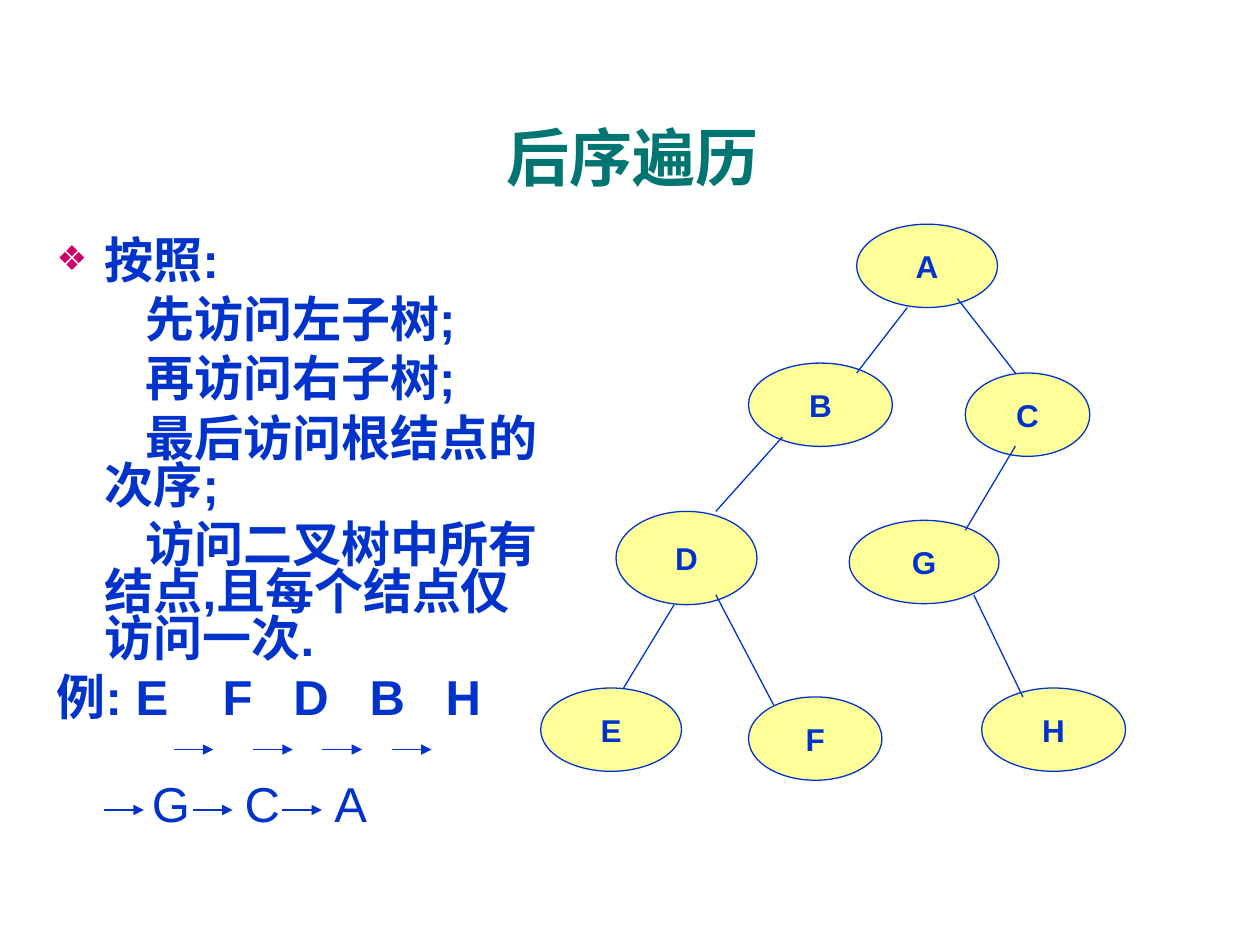
from lxml import etree
from pptx import Presentation
from pptx import util as u
from pptx.dml.color import RGBColor
from pptx.enum import shapes, text
from pptx.oxml.ns import qn

COLORS = {"title": "007572", "ink": "0033CC", "node": "FFFF99", "bullet": "CC0066"}
FONT = "Arial"
NODE_HEIGHT = 1.68
ARROW_LENGTH = 0.8

# name: left, top, width, height
NODES = {
    "A": (17.27, 4.52, 2.84, NODE_HEIGHT),
    "B": (15.09, 7.32, 2.9, NODE_HEIGHT),
    "C": (19.46, 7.52, 2.51, NODE_HEIGHT),
    "D": (12.42, 10.31, 2.84, 1.88),
    "G": (17.12, 10.49, 3.02, NODE_HEIGHT),
    "E": (10.9, 13.87, 2.84, NODE_HEIGHT),
    "F": (15.09, 14.05, 2.69, NODE_HEIGHT),
    "H": (19.79, 13.87, 2.9, NODE_HEIGHT),
}
BRANCHES = [
    (18.29, 6.2, 17.27, 7.52),     # A-B
    (19.3, 6.02, 20.47, 7.52),     # A-C
    (15.77, 8.81, 14.43, 10.31),   # B-D
    (20.47, 8.99, 19.46, 10.69),   # C-G
    (13.59, 12.19, 12.57, 13.87),  # D-E
    (14.43, 11.99, 15.6, 14.22),   # D-F
    (19.63, 11.99, 20.62, 14.05),  # G-H
]
# top: left ends of the arrows between visited nodes
ORDER_ARROWS = {15.11: (3.5, 5.1, 6.5, 7.9), 16.33: (2.1, 3.89, 5.69)}

# Extra points added to the space between visited nodes, to leave room for arrows
WIDE, NARROW = 23.35, 15.57
HANGING = {"margin": 0.97, "indent": -0.97, "bullet": "❖"}
STEP = {"margin": 0.97, "indent": 0.82}
LINES = [
    ("按照:", HANGING),
    ("先访问左子树;", STEP),
    ("再访问右子树;", STEP),
    ("最后访问根结点的次序;", STEP),
    ("访问二叉树中所有结点,且每个结点仅访问一次.", STEP),
    ("例: E F D B H", {"gaps": (WIDE, NARROW, NARROW, NARROW)}),
    ("G C A", {"gaps": (WIDE, WIDE), "margin": 1.92, "bold": False, "before": 34}),
]


def rgb(name):
    return RGBColor.from_string(COLORS[name])


def add_element(parent, tag, **attributes):
    element = etree.SubElement(parent, qn(tag))
    for key, value in attributes.items():
        element.set(key, str(value))
    return element


def write(paragraph, content, size, color="ink", bold=True, align=None, gaps=()):
    """Add text; each of its last spaces is widened by one of the gaps, in points."""
    paragraph.alignment = align
    first, *others = content.rsplit(" ", len(gaps)) if gaps else [content]
    pieces = [(first, 0)]
    for word, gap in zip(others, gaps):
        pieces += [(" ", gap), (word, 0)]
    for piece, spacing in pieces:
        run = paragraph.add_run()
        run.text = piece
        run.font.name = FONT
        run.font.size = u.Pt(size)
        run.font.bold = bold
        run.font.color.rgb = rgb(color)
        if spacing:
            run._r.get_or_add_rPr().set("spc", str(round(spacing * 100)))


def format_list_line(paragraph, margin=0, indent=0, bullet=None, before=7):
    paragraph.line_spacing = 0.8
    paragraph.space_before = u.Pt(before)
    properties = paragraph._p.get_or_add_pPr()
    properties.set("marL", str(u.Cm(margin)))
    properties.set("indent", str(u.Cm(indent)))
    if bullet:
        bullet_color = add_element(properties, "a:buClr")
        add_element(bullet_color, "a:srgbClr", val=COLORS["bullet"])
        add_element(properties, "a:buSzPct", val=70000)
        add_element(properties, "a:buChar", char=bullet)
    else:
        add_element(properties, "a:buNone")


class SlideBuilder:
    """Holds the current slide and the line style shared by its shapes."""

    def __init__(self, slide, line_width=0.75):
        self.slide = slide
        self.line_width = u.Pt(line_width)

    def style_line(self, line):
        line.color.rgb = rgb("ink")
        line.width = self.line_width

    def place(self, shape, left, top, width, height, anchor):
        shape.left, shape.top = u.Cm(left), u.Cm(top)
        shape.width, shape.height = u.Cm(width), u.Cm(height)
        frame = shape.text_frame
        frame.auto_size = text.MSO_AUTO_SIZE.NONE
        frame.vertical_anchor = anchor
        return frame

    def title(self, content):
        frame = self.place(self.slide.shapes.title, 0.9, 2.32, 23.72, 1.68,
                           text.MSO_ANCHOR.MIDDLE)
        write(frame.paragraphs[0], content, 36, "title", align=text.PP_ALIGN.CENTER)

    def body(self, lines):
        frame = self.place(self.slide.placeholders[1], 0.89, 4.72, 10.59, 12.6,
                           text.MSO_ANCHOR.TOP)
        for index, (content, layout) in enumerate(lines):
            paragraph = frame.add_paragraph() if index else frame.paragraphs[0]
            options = dict(layout)
            write(paragraph, content, 28, bold=options.pop("bold", True),
                  gaps=options.pop("gaps", ()))
            format_list_line(paragraph, **options)

    def node(self, name, left, top, width, height):
        shape = self.slide.shapes.add_shape(
            shapes.MSO_SHAPE.OVAL, u.Cm(left), u.Cm(top), u.Cm(width), u.Cm(height))
        shape.shadow.inherit = False
        shape.fill.solid()
        shape.fill.fore_color.rgb = rgb("node")
        self.style_line(shape.line)
        frame = shape.text_frame
        frame.word_wrap = False
        frame.vertical_anchor = text.MSO_ANCHOR.MIDDLE
        write(frame.paragraphs[0], name, 18, align=text.PP_ALIGN.CENTER)

    def line(self, x1, y1, x2, y2, arrow=False):
        connector = self.slide.shapes.add_connector(
            shapes.MSO_CONNECTOR.STRAIGHT, u.Cm(x1), u.Cm(y1), u.Cm(x2), u.Cm(y2))
        self.style_line(connector.line)
        if arrow:
            add_element(connector.line._get_or_add_ln(), "a:tailEnd", type="triangle")
        add_element(connector._element.spPr, "a:effectLst")


def main():
    presentation = Presentation()
    presentation.slide_width, presentation.slide_height = u.Cm(25.4), u.Cm(19.05)
    builder = SlideBuilder(presentation.slides.add_slide(presentation.slide_layouts[1]))
    builder.title("后序遍历")
    builder.body(LINES)
    for name, box in NODES.items():
        builder.node(name, *box)
    for ends in BRANCHES:
        builder.line(*ends)
    for top, lefts in ORDER_ARROWS.items():
        for left in lefts:
            builder.line(left, top, left + ARROW_LENGTH, top, arrow=True)
    presentation.save("out.pptx")


if __name__ == "__main__":
    main()
